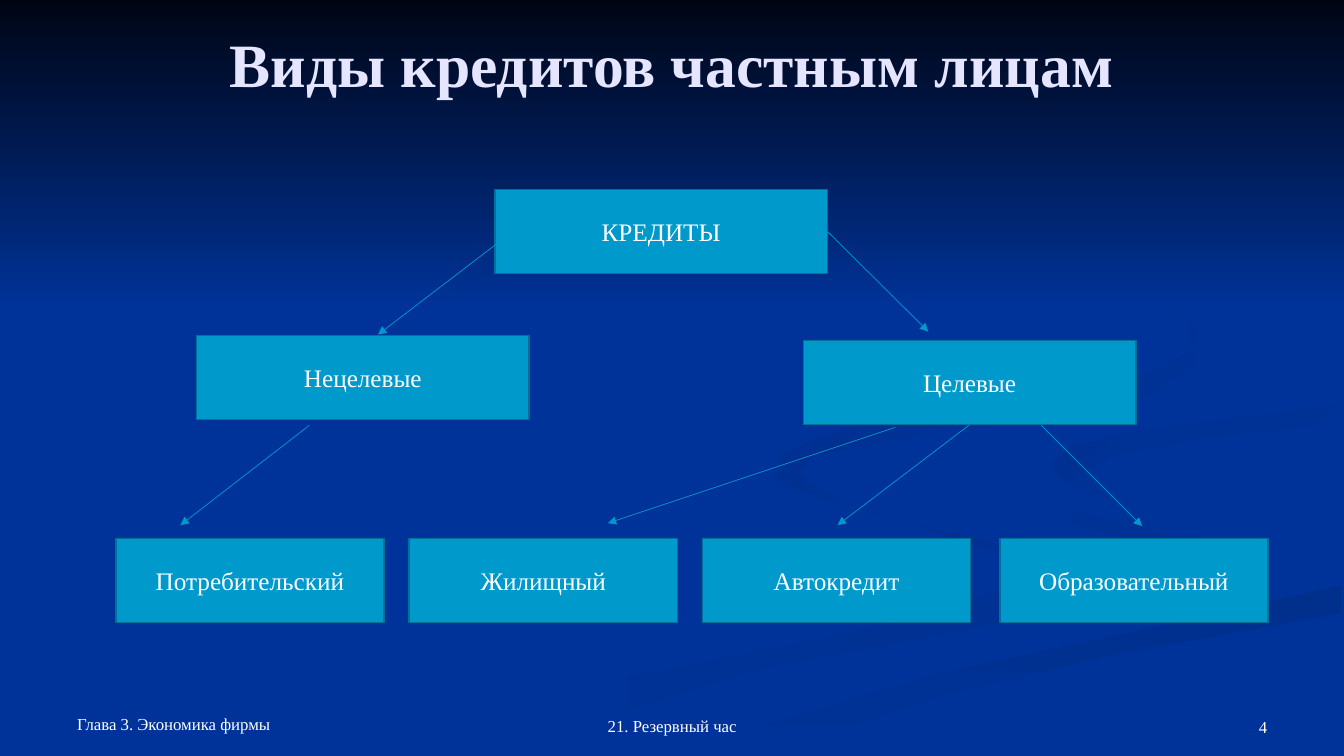
from lxml.etree import SubElement
from pptx import Presentation
from pptx.dml.color import RGBColor
from pptx.enum.shapes import MSO_CONNECTOR, MSO_SHAPE
from pptx.enum.text import MSO_ANCHOR, PP_ALIGN
from pptx.oxml.ns import qn
from pptx.util import Pt

FONT = "Times New Roman"
BLUE, TEAL, TEAL_EDGE, WHITE = "003399", "0099CC", "007197", "FFFFFF"
BOX_HEIGHT, WIDE, NARROW = 60, 237.6, 191.5
LOW_ROW = 384.5
RIGHT, BOTTOM = 3, 2

# Background ribbons: start colour, end colour, clockwise angle, outline
RIBBONS = [
    (BLUE, "003193", 0, [
        (750, 398), (616, 365), (552, 330), (553, 346), (652, 374), (755, 408),
        (657, 441), (440, 485), (288, 539), (347, 539), (541, 479), (726, 442),
        (768, 417)]),
    (BLUE, "003193", 45, [
        (905, 410), (835, 382), (704, 348), (695, 334), (725, 364), (845, 395),
        (881, 418), (858, 436), (903, 418)]),
    ("002F8C", BLUE, 90, [
        (483, 539), (549, 539), (667, 498), (788, 469), (958, 438), (958, 418),
        (867, 439), (668, 482), (546, 518)]),
    ("003091", BLUE, 45, [
        (750, 331), (759, 344), (793, 357), (773, 340), (794, 326), (860, 313),
        (958, 302), (958, 289), (815, 307), (768, 318)]),
    ("002F8E", BLUE, 45, [
        (656, 310), (755, 297), (820, 282), (853, 261), (854, 233), (829, 210),
        (788, 188), (732, 168), (811, 201), (850, 230), (851, 251), (808, 272),
        (733, 287), (600, 307), (557, 325), (557, 341), (597, 360), (570, 338),
        (582, 325)]),
    ("000514", BLUE, 90, [(0, 0), (0, 222), (960, 222), (960, 0)]),
]

# Credit boxes: text, left, top, width
CREDITS = [
    ("КРЕДИТЫ", 353.5, 135.4, WIDE),
    ("Целевые", 573.8, 243.4, WIDE),
    ("Нецелевые", 140.4, 239.8, WIDE),
    ("Потребительский", 82.8, LOW_ROW, NARROW),
    ("Жилищный", 292.3, LOW_ROW, NARROW),
    ("Автокредит", 501.8, LOW_ROW, NARROW),
    ("Образовательный", 714.2, LOW_ROW, NARROW),
]

# Arrows: start, end, joined box and side (if any)
ARROWS = [
    ((591.1, 165.4), (663.1, 236.9), ("КРЕДИТЫ", RIGHT)),
    ((221, 303.8), (128.9, 375.1), None),
    ((362.2, 168.5), (270, 239), None),
    ((639.4, 305.3), (434.2, 373.7), None),
    ((692.6, 303.4), (598.3, 375.1), ("Целевые", BOTTOM)),
    ((743.8, 303.8), (815.8, 375.8), None),
]

# Footer: text, left, top, width, height, alignment
FOOTERS = [
    ("Глава 3. Экономика фирмы", 48, 510, 312, 18, PP_ALIGN.LEFT),
    ("4", 688.3, 516.2, 224, 13.7, PP_ALIGN.RIGHT),
    ("21. Резервный час", 328.3, 510, 303.8, 19.4, PP_ALIGN.CENTER),
]


def rgb(value):
    return RGBColor.from_string(value)


def write(shape, text, size, color, align, anchor, bold=False):
    frame = shape.text_frame
    frame.text = text
    frame.word_wrap = True
    frame.vertical_anchor = anchor
    para = frame.paragraphs[0]
    para.alignment = align
    para.font.name, para.font.size, para.font.bold = FONT, Pt(size), bold
    para.font.color.rgb = rgb(color)


def add_ribbon(page, start, end, angle, outline):
    points = [(Pt(x), Pt(y)) for x, y in outline]
    builder = page.shapes.build_freeform(*points[0])
    builder.add_line_segments(points[1:], close=True)
    ribbon = builder.convert_to_shape()
    ribbon.shadow.inherit = False
    ribbon.line.fill.background()
    ribbon.fill.gradient()
    ribbon.fill.gradient_angle = (360 - angle) % 360
    for stop, color in zip(ribbon.fill.gradient_stops, (start, end)):
        stop.color.rgb = rgb(color)


def add_title(page, text):
    title = page.shapes.title
    title.left, title.top, title.width, title.height = Pt(48), Pt(0), Pt(864), Pt(90)
    write(title, text, 44, "E5E5FF", PP_ALIGN.CENTER, MSO_ANCHOR.MIDDLE, bold=True)
    # Bring the title in front of the background
    title.element.getparent().append(title.element)


def add_box(page, text, left, top, width):
    box = page.shapes.add_shape(
        MSO_SHAPE.RECTANGLE, Pt(left), Pt(top), Pt(width), Pt(BOX_HEIGHT))
    box.shadow.inherit = False
    box.fill.solid()
    box.fill.fore_color.rgb = rgb(TEAL)
    box.line.color.rgb = rgb(TEAL_EDGE)
    box.line.width = Pt(1)
    write(box, text, 18, WHITE, PP_ALIGN.CENTER, MSO_ANCHOR.MIDDLE)
    return box


def add_arrow(page, start, end):
    arrow = page.shapes.add_connector(
        MSO_CONNECTOR.STRAIGHT, *(Pt(value) for value in start + end))
    arrow.line.color.rgb = rgb(TEAL)
    arrow.line.width = Pt(0.5)
    properties = arrow.element.spPr
    SubElement(properties.find(qn("a:ln")), qn("a:tailEnd"), type="triangle")
    SubElement(properties, qn("a:effectLst"))
    return arrow


def add_footer(page, text, left, top, width, height, align):
    box = page.shapes.add_textbox(Pt(left), Pt(top), Pt(width), Pt(height))
    write(box, text, 12, WHITE, align, MSO_ANCHOR.BOTTOM)


def main():
    deck = Presentation()
    deck.slide_width, deck.slide_height = Pt(960), Pt(540)
    page = deck.slides.add_slide(deck.slide_layouts[5])

    # Background
    page.background.fill.solid()
    page.background.fill.fore_color.rgb = rgb(BLUE)
    for ribbon in RIBBONS:
        add_ribbon(page, *ribbon)

    # Title and footer
    add_title(page, "Виды кредитов частным лицам")
    for footer in FOOTERS:
        add_footer(page, *footer)

    # Credit tree
    boxes = {credit[0]: add_box(page, *credit) for credit in CREDITS}
    for start, end, joint in ARROWS:
        arrow = add_arrow(page, start, end)
        if joint:
            name, side = joint
            arrow.begin_connect(boxes[name], side)

    deck.save("out.pptx")


if __name__ == "__main__":
    main()
